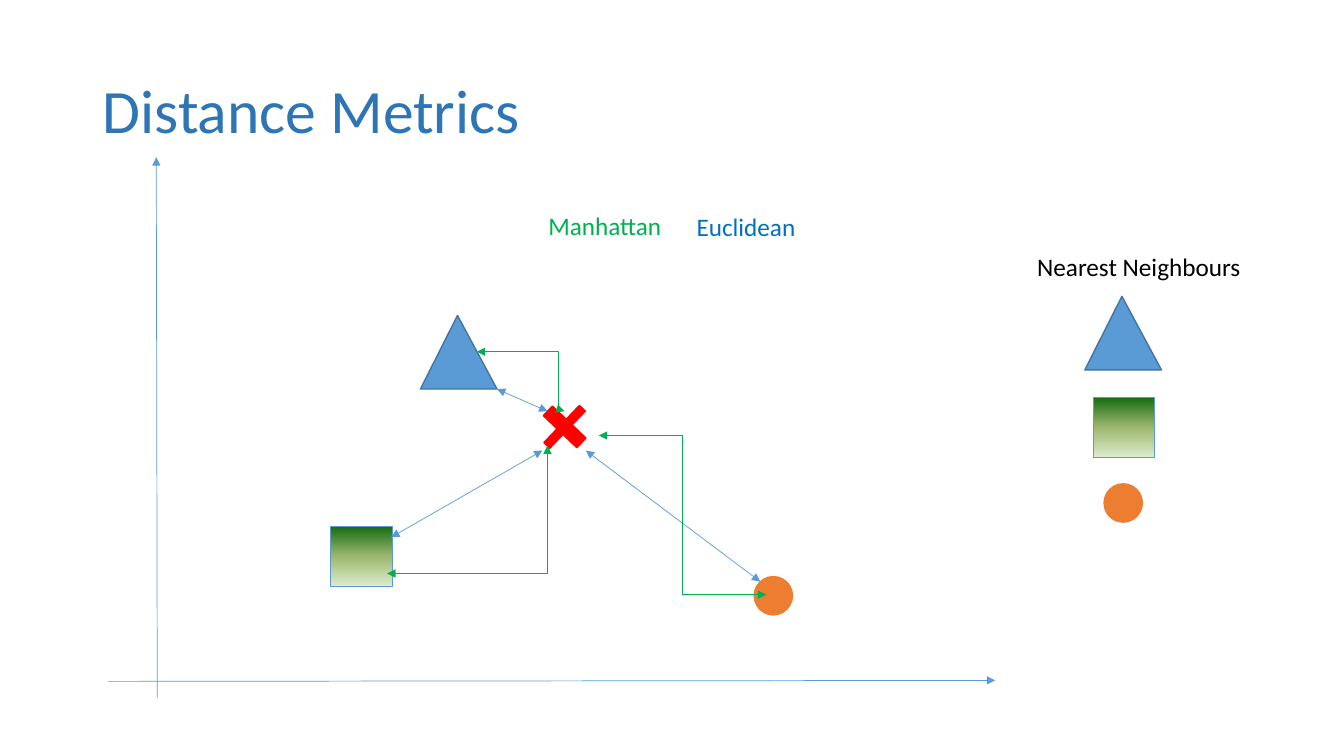
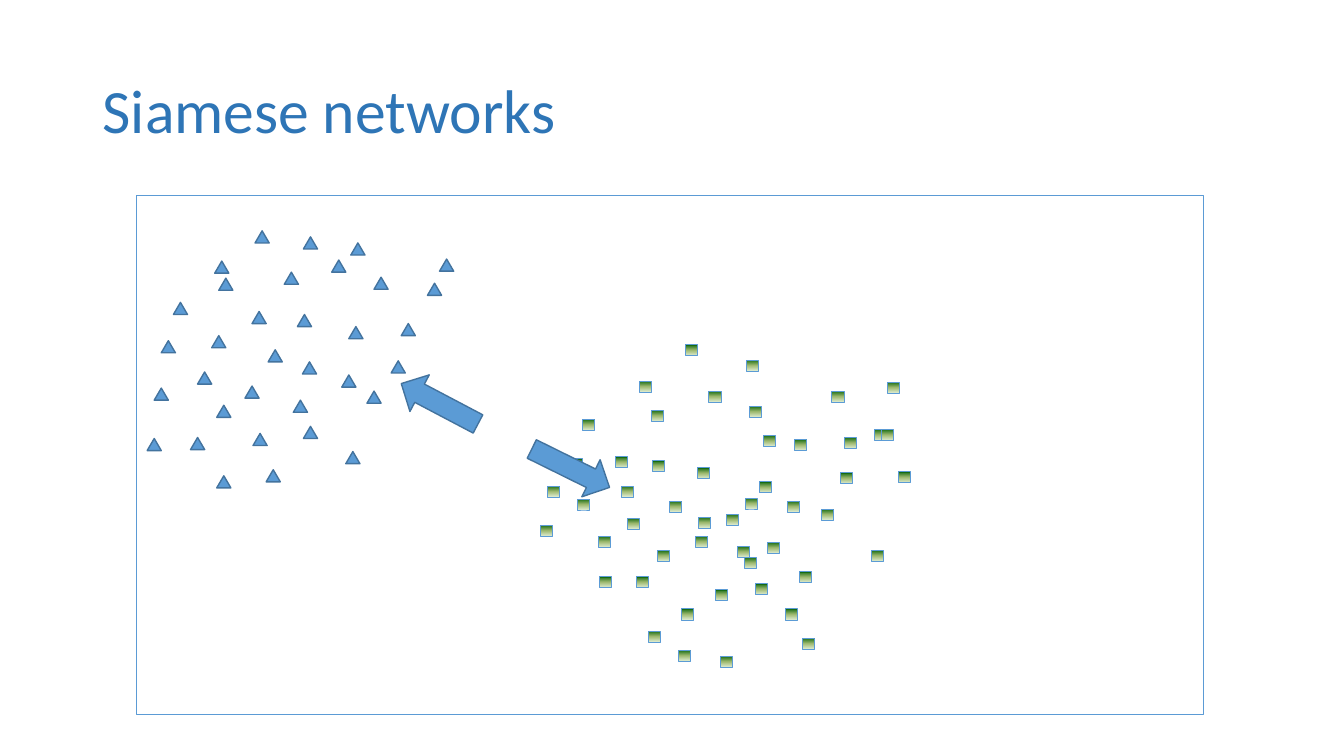
"""Build two slides on distance metrics and Siamese networks."""
from copy import deepcopy

from lxml import etree
from pptx import Presentation
from pptx import util as u
from pptx.dml.color import RGBColor
from pptx.enum import shapes, text
from pptx.oxml.ns import qn

PX = 9144
FONT = "Calibri"
COLOURS = {
    "title": "2E75B6", "blue": "5B9BD5", "edge": "43739E", "orange": "ED7D31",
    "red": "FF0000", "manhattan": "00B050", "euclidean": "0070C0", "black": "000000",
    "pale": "DDEBCF", "leaf": "9CB86E", "forest": "156B13",
}
GRADIENT = ["pale", "leaf", "forest"]
PRESET = shapes.MSO_SHAPE
FIGURES = {
    "triangle": (PRESET.ISOSCELES_TRIANGLE, "blue", "edge", 1),
    "square": (PRESET.RECTANGLE, GRADIENT, "blue", 0.5),
    "circle": (PRESET.OVAL, "orange", "orange", 1),
    "cross": (PRESET.CROSS, "red", "red", 1),
    "arrow": (PRESET.RIGHT_ARROW, "blue", "edge", 1),
    "frame": (PRESET.RECTANGLE, None, "blue", 0.5),
}
NEIGHBOURS = {"triangle": (76, 73, 0.484), "square": (61, 60, None), "circle": (38, 38, None)}
TITLE_BOX = (92, 40, 1150, 145)
TRIANGLES = [
    (77, 56), (32, 80), (110, 89), (20, 118), (284, 61), (142, 50), (73, 39),
    (103, 163), (56, 149), (126, 127), (113, 9), (13, 165), (161, 203), (206, 104),
    (6, 215), (155, 92), (75, 182), (49, 214), (111, 210), (199, 152), (189, 38),
    (124, 246), (75, 252), (231, 55), (160, 139), (203, 228), (151, 177), (258, 101),
    (70, 113), (161, 15), (248, 138), (296, 37), (224, 168), (208, 21),
]
SQUARES = [
    (43, 182), (36, 221), (66, 155), (122, 214), (209, 285), (116, 182), (296, 333),
    (110, 153), (364, 246), (94, 272), (78, 116), (152, 246), (192, 164), (164, 197),
    (147, 157), (146, 107), (380, 79), (190, 232), (73, 195), (93, 232), (238, 253),
    (180, 42), (253, 178), (333, 169), (220, 210), (243, 103), (367, 126), (315, 205),
    (288, 136), (134, 78), (143, 326), (203, 88), (173, 345), (325, 88), (214, 351),
    (240, 57), (293, 267), (261, 238), (281, 197), (279, 304), (249, 279), (239, 194),
    (231, 242), (176, 304), (131, 272), (193, 213), (257, 132), (374, 126), (337, 134),
    (391, 168),
]


def colour(name):
    """Return the named colour."""
    return RGBColor.from_string(COLOURS[name])


def emu(*lengths):
    """Turn px lengths into EMU."""
    return [u.Emu(length * PX) for length in lengths]


def inside(box, left, top, *size):
    """Move a place given within a box to the page."""
    return (box[0] + left, box[1] + top, *size)


def add_text(page, box, words, size=18, tint="black", align=text.PP_ALIGN.LEFT,
             anchor=text.MSO_ANCHOR.TOP, spacing=None):
    """Add one formatted paragraph in a wrapping text box."""
    frame = page.shapes.add_textbox(*emu(*box)).text_frame
    frame.word_wrap = True
    frame.vertical_anchor = anchor
    para = frame.paragraphs[0]
    para.alignment = align
    para.line_spacing = spacing
    span = para.add_run()
    span.text = words
    span.font.name = FONT
    span.font.size = u.Pt(size)
    span.font.color.rgb = colour(tint)


def fill_gradient(shape, names):
    """Fill a shape upwards through three evenly spaced colours."""
    shape.fill.gradient()
    shape.fill.gradient_angle = 90
    stop_list = shape._element.spPr.find(qn("a:gradFill")).find(qn("a:gsLst"))
    stop_list.append(deepcopy(stop_list[-1]))
    for index, stop in enumerate(shape.fill.gradient_stops):
        stop.color.rgb = colour(names[index])
        stop.position = index / (len(names) - 1)


def add_figure(page, kind, box, rotation=0, adjust=None):
    """Draw one of the named figures."""
    preset, fill, line, width = FIGURES[kind]
    shape = page.shapes.add_shape(preset, *emu(*box))
    shape.shadow.inherit = False
    shape.rotation = rotation
    if adjust is not None:
        shape.adjustments[0] = adjust
    if fill is None:
        shape.fill.background()
    elif fill is GRADIENT:
        fill_gradient(shape, fill)
    else:
        shape.fill.solid()
        shape.fill.fore_color.rgb = colour(fill)
    shape.line.color.rgb = colour(line)
    shape.line.width = u.Pt(width)


def add_arrow(page, box, ends, tint="blue", preset="line", adjust=None, both=True):
    """Join two points of a box with a thin arrow, straight or bent."""
    start, finish = inside(box, *ends[:2]), inside(box, *ends[2:])
    style = shapes.MSO_CONNECTOR.STRAIGHT if preset == "line" else shapes.MSO_CONNECTOR.ELBOW
    arrow = page.shapes.add_connector(style, *emu(*start, *finish))
    arrow.line.color.rgb = colour(tint)
    arrow.line.width = u.Pt(0.5)
    properties = arrow._element.spPr
    geometry = properties.find(qn("a:prstGeom"))
    geometry.set("prst", preset)
    if adjust is not None:
        guides = geometry.find(qn("a:avLst"))
        if guides is None:
            guides = etree.SubElement(geometry, qn("a:avLst"))
        etree.SubElement(guides, qn("a:gd"), name="adj1", fmla=f"val {round(adjust * 100000)}")
    for end in ["a:headEnd", "a:tailEnd"] if both else ["a:tailEnd"]:
        etree.SubElement(properties.find(qn("a:ln")), qn(end), type="triangle")
    etree.SubElement(properties, qn("a:effectLst"))


def add_page(deck, title):
    """Add a blank page with the shared title."""
    page = deck.slides.add_slide(deck.slide_layouts[6])
    add_text(page, TITLE_BOX, title, size=44, tint="title",
             anchor=text.MSO_ANCHOR.MIDDLE, spacing=0.9)
    return page


def add_neighbours(page, box, places):
    """Draw the three neighbours at the places given."""
    for (kind, (width, height, adjust)), place in zip(NEIGHBOURS.items(), places):
        add_figure(page, kind, inside(box, *place, width, height), adjust=adjust)


def add_plot(page, box):
    """Draw the axes, the query point and its distances."""
    for axis in [(49, 536, 48, 0), (0, 520, 880, 519)]:
        add_arrow(page, box, axis, both=False)
    add_neighbours(page, box, [(310, 157), (221, 366), (641, 416)])
    add_figure(page, "cross", inside(box, 430, 242, 46, 51), rotation=43.7, adjust=0.411)
    for ends in [(281, 377, 431, 291), (474, 291, 647, 421), (386, 230, 436, 252)]:
        add_arrow(page, box, ends)
    for ends, preset, adjust in [
        ((453, 252, 366, 193), "bentConnector3", 0.071),
        ((277, 413, 436, 286), "bentConnector2", None),
        ((487, 276, 653, 434), "bentConnector3", 0.5),
    ]:
        add_arrow(page, box, ends, "manhattan", preset, adjust)
    add_text(page, inside(box, 427, 48, 133, 40), "Manhattan", tint="manhattan")
    add_text(page, inside(box, 574, 49, 129, 40), "Euclidean", tint="euclidean")


def add_legend(page, box):
    """Draw the list of nearest neighbours."""
    add_text(page, inside(box, 0, 0, box[2], 40), "Nearest Neighbours",
             align=text.PP_ALIGN.CENTER)
    add_neighbours(page, box, [(74, 50), (82, 150), (93, 236)])


def add_cloud(page, box, kind, size, points):
    """Scatter small figures of one kind over a box."""
    for point in points:
        add_figure(page, kind, inside(box, *point, *size))


def add_clusters(page, box):
    """Draw two clusters in a frame, pushed apart by arrows."""
    add_figure(page, "frame", box)
    add_cloud(page, inside(box, 5, 26), "triangle", (14, 12), TRIANGLES)
    add_cloud(page, inside(box, 365, 106), "square", (12, 11), SQUARES)
    for left, top, rotation in [(258, 186, 207.8), (388, 250, 26.3)]:
        add_figure(page, "arrow", inside(box, left, top, 86, 41), rotation=rotation)


def main():
    """Build and save the deck."""
    deck = Presentation()
    deck.slide_width, deck.slide_height = u.Inches(13.33), u.Inches(7.5)
    metrics = add_page(deck, "Distance Metrics")
    add_plot(metrics, (107, 156, 880, 536))
    add_legend(metrics, (1002, 244, 255, 274))
    networks = add_page(deck, "Siamese networks")
    add_clusters(networks, (135, 194, 1059, 515))
    deck.save("out.pptx")


if __name__ == "__main__":
    main()
